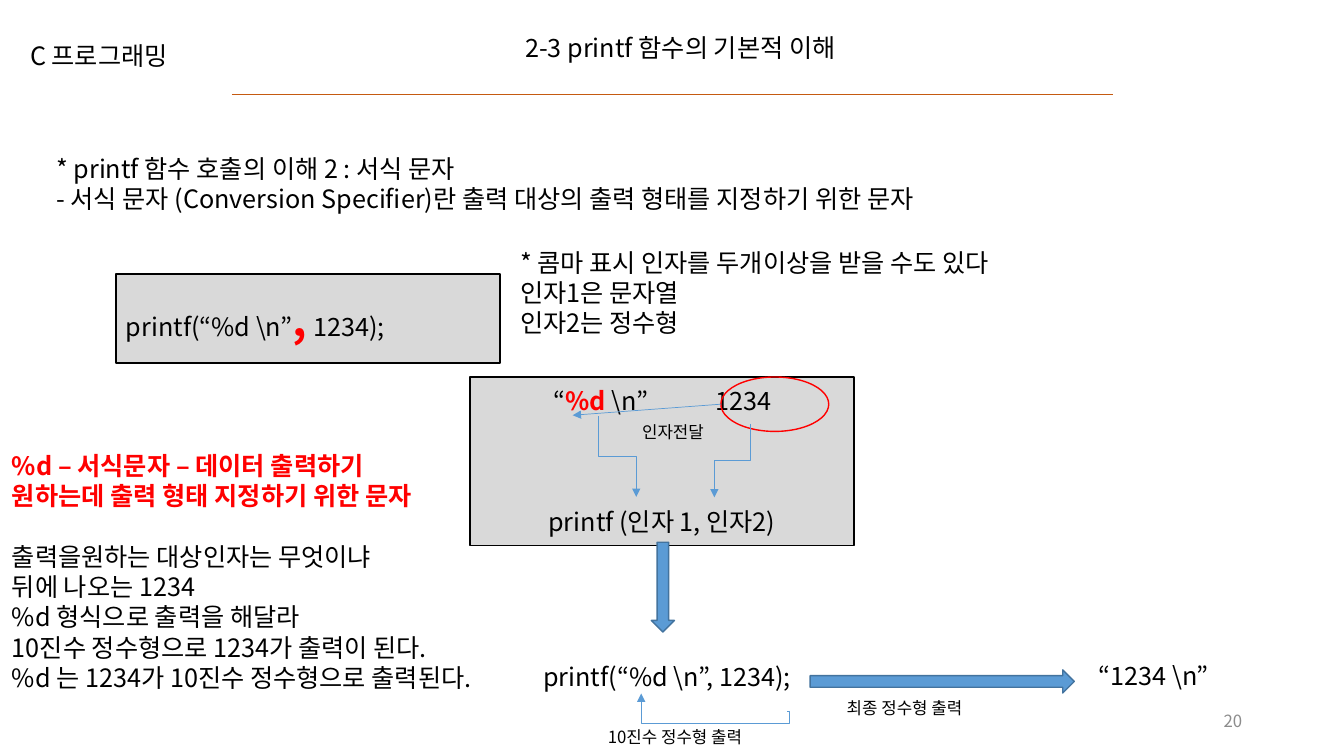
from dataclasses import dataclass
from typing import NamedTuple

from lxml import etree
from pptx import Presentation, util as u
from pptx.dml.color import RGBColor
from pptx.enum import shapes, text
from pptx.oxml.ns import qn

SLIDE_WIDTH, SLIDE_HEIGHT = u.Inches(13.33), u.Inches(7.5)
COLUMN = SLIDE_WIDTH / 133.3
ROW = SLIDE_HEIGHT / 75


@dataclass(frozen=True)
class Theme:
    font: str = "Noto Sans CJK KR"
    ink: str = "000000"
    alert: str = "FF0000"
    muted: str = "8C8C8C"
    panel: str = "D9D9D9"
    arrow: str = "5B9BD5"
    arrow_edge: str = "43739E"
    rule: str = "C55A11"
    body: int = 18
    small: int = 12
    comma: int = 32
    leading: float = 1.2
    thin: float = 0.5
    edge: float = 1


THEME = Theme()
LEFT, CENTER, RIGHT = text.PP_ALIGN.LEFT, text.PP_ALIGN.CENTER, text.PP_ALIGN.RIGHT
TOP, MIDDLE = text.MSO_ANCHOR.TOP, text.MSO_ANCHOR.MIDDLE
ELBOW, STRAIGHT = shapes.MSO_CONNECTOR.ELBOW, shapes.MSO_CONNECTOR.STRAIGHT
SHAPE = shapes.MSO_SHAPE


class Area(NamedTuple):
    """Left and width in columns, top and height in rows."""
    left: float
    top: float
    width: float
    height: float

    def place(self) -> tuple[int, ...]:
        steps = (COLUMN, ROW, COLUMN, ROW)
        return tuple(round(value * step) for value, step in zip(self, steps))


class Run(NamedTuple):
    words: str
    color: str = THEME.ink
    bold: bool = False
    size: int = THEME.body


class Line(NamedTuple):
    runs: tuple[Run, ...]
    align: text.PP_ALIGN = LEFT
    lines_before: int = 0
    tabs: tuple[float, ...] = ()


class Note(NamedTuple):
    area: Area
    lines: tuple[Line, ...]
    anchor: text.MSO_ANCHOR = TOP
    wrap: bool = False


class Figure(NamedTuple):
    kind: shapes.MSO_SHAPE
    area: Area
    fill: str | None
    edge: str
    lines: tuple[Line, ...] = ()
    rotation: int = 0


class Link(NamedTuple):
    """Start and end in columns and rows, before the rotation."""
    start: tuple[float, float]
    end: tuple[float, float]
    kind: shapes.MSO_CONNECTOR = ELBOW
    rotation: int = 0
    color: str = THEME.arrow
    head: bool = True
    bends: tuple[int, ...] = ()


def plain(*sentences: str, size: int = THEME.body) -> tuple[Line, ...]:
    return tuple(Line((Run(words, size=size),)) for words in sentences)


def red(words: str) -> Run:
    return Run(words, THEME.alert, True)


TITLE = Note(Area(51.1, 2.7, 35.7, 4), plain("2-3 printf 함수의 기본적 이해"))

PANELS = (
    Figure(SHAPE.RECTANGLE, Area(11.5, 27.2, 38.1, 8.8), THEME.panel, THEME.ink, (
        Line((Run("printf(“%d \\n”"), Run(",", THEME.alert, True, THEME.comma),
              Run(" 1234);"))),)),
    Figure(SHAPE.RECTANGLE, Area(46.6, 37.4, 38.1, 16.7), THEME.panel, THEME.ink, (
        Line((Run("\t“"), red("%d "), Run("\\n”\t1234")), tabs=(7.3, 23.4)),
        Line((Run("printf (인자 1, 인자2)"),), CENTER, lines_before=3))),
    Figure(SHAPE.DOWN_ARROW, Area(64.6, 53.8, 2.3, 8.9), THEME.arrow, THEME.arrow_edge),
    Figure(SHAPE.DOWN_ARROW, Area(92.3, 54.5, 2.3, 26.2), THEME.arrow, THEME.arrow_edge,
           rotation=270),
    Figure(SHAPE.OVAL, Area(71.5, 37.4, 10.7, 5.4), None, THEME.alert),
)

NOTES = (
    Note(Area(2, 3.5, 17.1, 4), plain("C 프로그래밍")),
    Note(Area(4.6, 14.7, 94.9, 7.1), plain(
        "* printf 함수 호출의 이해 2 : 서식 문자",
        "- 서식 문자 (Conversion Specifier)란 출력 대상의 출력 형태를 지정하기 위한 문자")),
    Note(Area(52.9, 65.1, 27.9, 4), plain("printf(“%d \\n”, 1234);")),
    Note(Area(108, 65, 13.7, 4), plain("“1234 \\n”")),
    Note(Area(59.3, 71.6, 16.9, 3), plain("10진수 정수형 출력", size=THEME.small)),
    Note(Area(62.7, 41.3, 8.8, 3), plain("인자전달", size=THEME.small)),
    Note(Area(83, 68.7, 15, 3), plain("최종 정수형 출력", size=THEME.small)),
    Note(Area(50.6, 24, 54.8, 10.1), plain(
        "* 콤마 표시 인자를 두개이상을 받을 수도 있다", "인자1은 문자열", "인자2는 정수형")),
    Note(Area(0.2, 44.2, 51.8, 28.3), (
        Line((red("%d – 서식문자 – 데이터 출력하기"),)),
        Line((red("원하는데 출력 형태 지정하기 위한 문자"),)),
        Line((Run("출력을원하는 대상인자는 무엇이냐"),), lines_before=1),
        *plain("뒤에 나오는 1234", "%d 형식으로 출력을 해달라",
               "10진수 정수형으로 1234가 출력이 된다.",
               "%d 는 1234가 10진수 정수형으로 출력된다."))),
    Note(Area(94.2, 69.5, 30, 4), (
        Line((Run("20", THEME.muted, size=THEME.small),), RIGHT),), MIDDLE, True),
)

LINKS = (
    Link((23, 9.4), (110.4, 9.4), STRAIGHT, color=THEME.rule, head=False),
    Link((63.6, 68.8), (78.1, 70.6), rotation=180, bends=(-1200, -63200)),
    Link((65.2, 43.4), (57.2, 47.2), rotation=270),
    Link((69, 43.9), (76.3, 47.5), rotation=90),
    Link((71.5, 40.1), (56.8, 41.2), STRAIGHT),
)


def apply(target: object, values: dict[str, object]) -> None:
    for name, value in values.items():
        setattr(target, name, value)


def write(frame, lines: tuple[Line, ...], anchor, wrap: bool) -> None:
    apply(frame, {"auto_size": text.MSO_AUTO_SIZE.NONE, "word_wrap": wrap,
                  "vertical_anchor": anchor})
    for index, line in enumerate(lines):
        paragraph = frame.paragraphs[0] if index == 0 else frame.add_paragraph()
        height = max(run.size for run in line.runs) * THEME.leading
        apply(paragraph, {"alignment": line.align, "line_spacing": u.Pt(height)})
        if line.lines_before:
            paragraph.space_before = u.Pt(height * line.lines_before)
        if line.tabs:
            stops = etree.SubElement(paragraph._p.get_or_add_pPr(), qn("a:tabLst"))
            for stop in line.tabs:
                etree.SubElement(stops, qn("a:tab"), pos=str(round(stop * COLUMN)), algn="l")
        for part in line.runs:
            run = paragraph.add_run()
            run.text = part.words
            apply(run.font, {"name": THEME.font, "size": u.Pt(part.size), "bold": part.bold})
            run.font.color.rgb = RGBColor.from_string(part.color)
            etree.SubElement(run._r.get_or_add_rPr(), qn("a:ea"), typeface=THEME.font)


def draw_title(slide) -> None:
    title = slide.shapes.title
    apply(title, dict(zip(("left", "top", "width", "height"), TITLE.area.place())))
    write(title.text_frame, TITLE.lines, TITLE.anchor, TITLE.wrap)


def draw_figure(slide, figure: Figure) -> None:
    shape = slide.shapes.add_shape(figure.kind, *figure.area.place())
    shape.rotation = figure.rotation
    shape.shadow.inherit = False
    if figure.fill:
        shape.fill.solid()
        shape.fill.fore_color.rgb = RGBColor.from_string(figure.fill)
    else:
        shape.fill.background()
    shape.line.color.rgb = RGBColor.from_string(figure.edge)
    shape.line.width = u.Pt(THEME.edge)
    if figure.lines:
        write(shape.text_frame, figure.lines, MIDDLE, True)


def draw_note(slide, note: Note) -> None:
    box = slide.shapes.add_textbox(*note.area.place())
    write(box.text_frame, note.lines, note.anchor, note.wrap)


def draw_link(slide, link: Link) -> None:
    ends = [round(value * step) for point in (link.start, link.end)
            for value, step in zip(point, (COLUMN, ROW))]
    connector = slide.shapes.add_connector(link.kind, *ends)
    connector.line.color.rgb = RGBColor.from_string(link.color)
    connector.line.width = u.Pt(THEME.thin)
    properties = connector._element.spPr
    if link.rotation:
        properties.find(qn("a:xfrm")).set("rot", str(link.rotation * 60000))
    if link.bends:
        geometry = properties.find(qn("a:prstGeom"))
        geometry.set("prst", "bentConnector4")
        guides = geometry.find(qn("a:avLst"))
        for number, bend in enumerate(link.bends, 1):
            etree.SubElement(guides, qn("a:gd"), name=f"adj{number}", fmla=f"val {bend}")
    if link.head:
        etree.SubElement(properties.find(qn("a:ln")), qn("a:tailEnd"), type="triangle")
    etree.SubElement(properties, qn("a:effectLst"))


def main() -> None:
    deck = Presentation()
    apply(deck, {"slide_width": SLIDE_WIDTH, "slide_height": SLIDE_HEIGHT})
    slide = deck.slides.add_slide(deck.slide_layouts[5])
    draw_title(slide)
    for draw, items in ((draw_figure, PANELS), (draw_note, NOTES), (draw_link, LINKS)):
        for item in items:
            draw(slide, item)
    deck.save("out.pptx")


if __name__ == "__main__":
    main()
